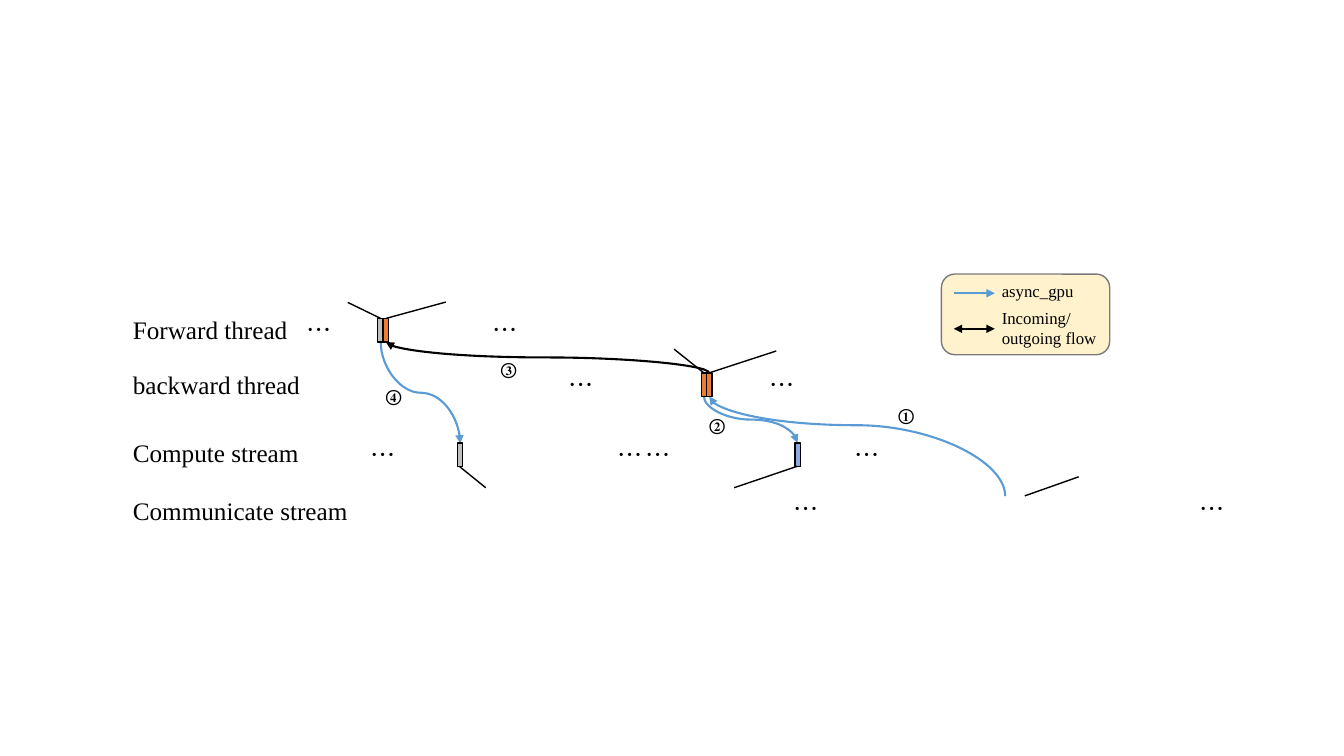
from lxml.etree import SubElement
from pptx import Presentation
from pptx.dml.color import RGBColor
from pptx.enum.shapes import MSO_CONNECTOR, MSO_SHAPE
from pptx.enum.text import MSO_AUTO_SIZE
from pptx.oxml.ns import qn
from pptx.util import Pt

BLACK = RGBColor(0, 0, 0)
ORANGE = RGBColor(0xED, 0x7D, 0x31)
GRAY = RGBColor(0xBF, 0xBF, 0xBF)
BLUE = RGBColor(0x5B, 0x9B, 0xD5)
PALE = RGBColor(0x8F, 0xAA, 0xDC)
CREAM = RGBColor(0xFF, 0xF2, 0xCC)
EDGE = RGBColor(0x7A, 0x7A, 0x7A)
SERIF, CJK = "Times New Roman", "Noto Sans CJK SC"

LEFT = 87.8
BAR_W, BAR_H = 3.8, 16.8
# text, top, width
LANES = [
    ("Forward thread", 221, 126),
    ("backward thread", 260.6, 135.4),
    ("Compute stream", 308.9, 133.9),
    ("Communicate stream", 349.9, 169.2),
]
# top, left edges
DOTS = [
    (221, [211.7, 344.9]),
    (259.9, [398.9, 542.9]),
    (310, [257.8, 434.2, 454.3, 603.4]),
    (348.5, [559.4, 849.6]),
]
# top, [(left, fill)]
BARS = [
    (227.5, [(273.6, ORANGE), (269.9, GRAY)]),
    (266.4, [(504.8, ORANGE), (501, ORANGE)]),
    (316.4, [(326.8, GRAY), (568, PALE)]),
]
# start, end, colour, arrowed ends, bend
CURVES = [
    ((275.6, 244.3), (506.5, 266.4), BLACK, ["headEnd"], 0.5),
    ((506.5, 283.2), (718, 354.4), BLUE, ["headEnd"], 0.289),
    ((502.8, 283.2), (569.7, 316.3), BLUE, ["tailEnd"], 0.5),
    ((272, 244.3), (328.8, 316.8), BLUE, ["tailEnd"], 0.5),
]
RAYS = [
    ((275.6, 227.5), (318.4, 215.8)),
    ((248.4, 216), (272, 227.5)),
    ((328.4, 333.4), (347, 348.4)),
    ((569.7, 333), (524.4, 348.4)),
    ((770.5, 340.6), (732, 354.2)),
    ((506.5, 266.4), (554.5, 250.7)),
    ((502.8, 266.4), (481.5, 249.4)),
]
STEPS = [("①", 634.6, 285.4), ("②", 499.7, 293),
         ("③", 350.8, 252.7), ("④", 268.6, 272.2)]
# text, top, width, height, arrow height, colour, arrowed ends
KEYS = [
    ("async_gpu", 197.3, 69.4, 21.8, 209.5, BLUE, ["tailEnd"]),
    ("Incoming/\noutgoing flow", 216, 89.3, 36.4, 234.9, BLACK,
     ["headEnd", "tailEnd"]),
]

deck = Presentation()
deck.slide_width, deck.slide_height = Pt(960), Pt(540)
slide = deck.slides.add_slide(deck.slide_layouts[6])
shapes = slide.shapes


def label(text, x, y, w, h, size, face=SERIF, bold=False, wrap=True):
    frame = shapes.add_textbox(Pt(x), Pt(y), Pt(w), Pt(h)).text_frame
    frame.word_wrap = wrap
    frame.auto_size = MSO_AUTO_SIZE.SHAPE_TO_FIT_TEXT
    frame.text = text
    for para in frame.paragraphs:
        for run in para.runs:
            font = run.font
            font.size, font.name, font.bold = Pt(size), face, bold
            font.color.rgb = BLACK
            SubElement(run._r.get_or_add_rPr(), qn("a:ea"), typeface=face)


def box(kind, x, y, w, h, fill, edge):
    item = shapes.add_shape(kind, Pt(x), Pt(y), Pt(w), Pt(h))
    item.shadow.inherit = False
    item.fill.solid()
    item.fill.fore_color.rgb = fill
    item.line.color.rgb = edge
    item.line.width = Pt(1)


def link(start, end, color, width, tips=(), kind=MSO_CONNECTOR.STRAIGHT):
    item = shapes.add_connector(kind, *map(Pt, start + end))
    item.line.color.rgb = color
    item.line.width = Pt(width)
    for tip in tips:
        SubElement(item.line._get_or_add_ln(), qn("a:" + tip), type="triangle")
    SubElement(item._element.spPr, qn("a:effectLst"))
    return item


def curve(start, end, color, tips, bend):
    """Draw an S-curve that leaves and arrives vertically, as a quarter turn."""
    (x1, y1), (x2, y2) = start, end
    cx, cy = (x1 + x2) / 2, (y1 + y2) / 2
    dx, dy = (x2 - x1) / 2, (y2 - y1) / 2
    item = link((cx + dy, cy - dx), (cx - dy, cy + dx), color, 1.5, tips,
                MSO_CONNECTOR.CURVE)
    props = item._element.spPr
    props.find(qn("a:xfrm")).set("rot", str(270 * 60000))
    guides = props.find(qn("a:prstGeom")).find(qn("a:avLst"))
    SubElement(guides, qn("a:gd"), name="adj1", fmla=f"val {bend * 100000:.0f}")


for text, y, w in LANES:
    label(text, LEFT, y, w, 29, 18, wrap=False)
for spec_curve in CURVES:
    curve(*spec_curve)
for y, lefts in DOTS:
    for x in lefts:
        label("…", x, y, 28, 29, 18, CJK)
for y, row in BARS:
    for x, fill in row:
        box(MSO_SHAPE.RECTANGLE, x, y, BAR_W, BAR_H, fill, BLACK)
for start, end in RAYS:
    link(start, end, BLACK, 1)
for text, x, y in STEPS:
    label(text, x, y, 59.8, 21.8, 12, bold=True)

box(MSO_SHAPE.ROUNDED_RECTANGLE, 672.5, 195.8, 120.2, 57.6, CREAM, EDGE)
for text, y, w, h, mid, color, tips in KEYS:
    link((681.3, mid), (710.6, mid), color, 1.5, tips)
    label(text, 708.5, y, w, h, 12)

deck.save("out.pptx")
